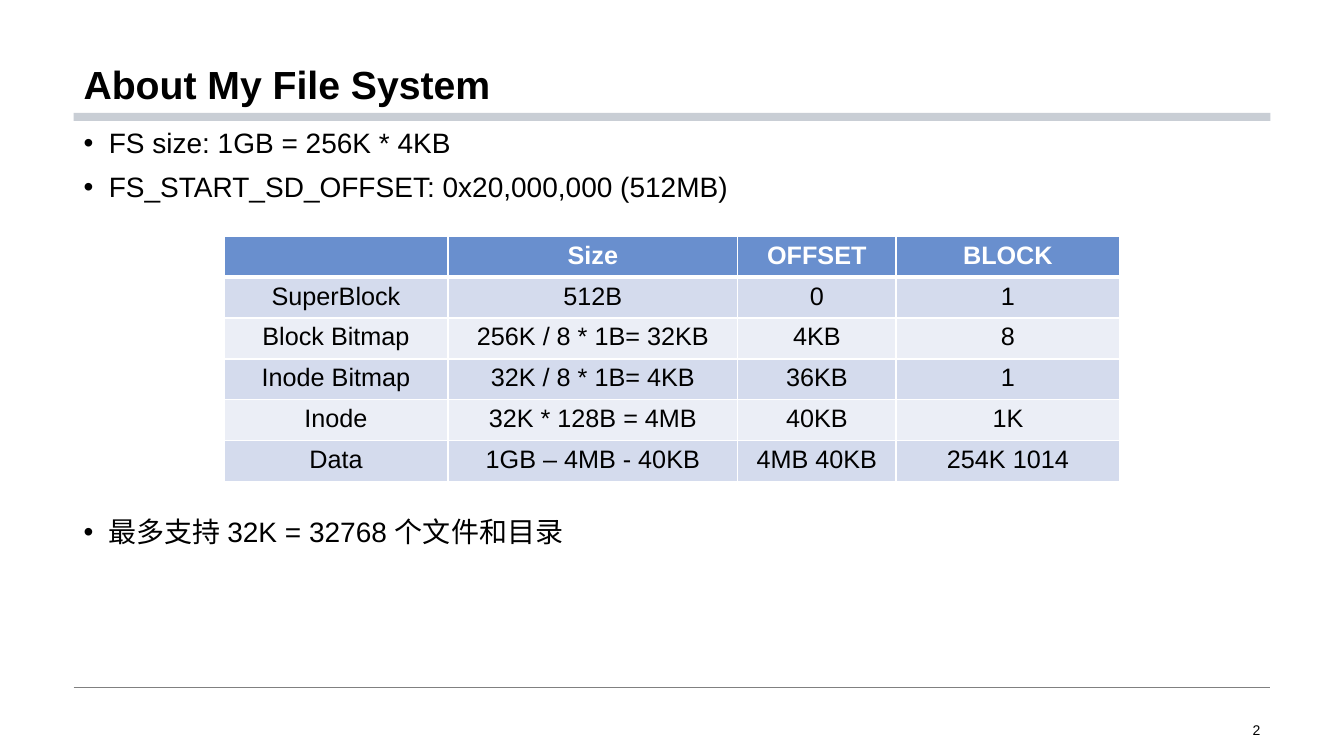
from dataclasses import dataclass

from lxml.etree import SubElement
from pptx import Presentation
from pptx.dml.color import RGBColor
from pptx.enum.shapes import MSO_CONNECTOR, MSO_SHAPE
from pptx.enum.text import MSO_ANCHOR, PP_ALIGN
from pptx.oxml.ns import qn
from pptx.util import Pt

TITLE = "About My File System"
PAGE_NUMBER = "2"
TABLE_GAP = 225  # room left for the table before the last point
POINTS = [  # text, space before
    ("FS size: 1GB = 256K * 4KB", 10),
    ("FS_START_SD_OFFSET: 0x20,000,000 (512MB)", 10),
    ("最多支持 32K = 32768 个文件和目录", TABLE_GAP),
]
LAYOUT_ROWS = [
    ("", "Size", "OFFSET", "BLOCK"),
    ("SuperBlock", "512B", "0", "1"),
    ("Block Bitmap", "256K / 8 * 1B= 32KB", "4KB", "8"),
    ("Inode Bitmap", "32K / 8 * 1B= 4KB", "36KB", "1"),
    ("Inode", "32K * 128B = 4MB", "40KB", "1K"),
    ("Data", "1GB – 4MB - 40KB", "4MB 40KB", "254K 1014"),
]
COLUMN_WIDTHS = (160, 207, 113, 160)
ROW_HEIGHT = 29.2


@dataclass(frozen=True)
class Theme:
    font: str = "Arial"
    text: str = "000000"
    white: str = "FFFFFF"
    bar: str = "C9CED5"
    rule: str = "808080"
    header: str = "698FCE"
    bands: tuple = ("EBEEF6", "D4DBED")
    title_size: int = 28
    body_size: int = 20
    table_size: int = 18
    page_size: int = 10


THEME = Theme()
SLIDE_WIDTH, SLIDE_HEIGHT = 960, 540
MARGIN = 52.6
CONTENT_WIDTH = 854.8
BAR_TOP, BAR_HEIGHT = 80.6, 5.8
BODY_TOP, BODY_HEIGHT = 88.6, 395
TABLE_TOP = 168.8
FOOTER_RULE_Y = 491
PAGE_TOP, PAGE_WIDTH, PAGE_HEIGHT = 513, 229, 16.5


def add_run(paragraph, text, size, color=THEME.text, bold=False):
    run = paragraph.add_run()
    run.text = text
    run.font.name = THEME.font
    run.font.size = Pt(size)
    run.font.bold = bold
    run.font.color.rgb = RGBColor.from_string(color)


def add_frame(slide, left, top, width, height, anchor):
    box = slide.shapes.add_textbox(Pt(left), Pt(top), Pt(width), Pt(height))
    box.text_frame.word_wrap = True
    box.text_frame.vertical_anchor = anchor
    return box.text_frame


def add_bullet(paragraph, indent=18):
    properties = paragraph._p.get_or_add_pPr()
    properties.set("marL", str(Pt(indent)))
    properties.set("indent", str(-Pt(indent)))
    SubElement(properties, qn("a:buFont"), typeface=THEME.font)
    SubElement(properties, qn("a:buChar"), char="•")


def add_borders(cell, bottom_width):
    properties = cell._tc.get_or_add_tcPr()
    widths = {"a:lnL": 1, "a:lnR": 1, "a:lnT": 1, "a:lnB": bottom_width}
    for side, width in widths.items():
        border = SubElement(properties, qn(side), w=str(Pt(width)))
        fill = SubElement(border, qn("a:solidFill"))
        SubElement(fill, qn("a:srgbClr"), val=THEME.white)


def add_frame_lines(slide):
    """Draw the bar under the title and the thin rule above the footer."""
    rule = slide.shapes.add_connector(
        MSO_CONNECTOR.STRAIGHT, Pt(MARGIN), Pt(FOOTER_RULE_Y),
        Pt(MARGIN + CONTENT_WIDTH), Pt(FOOTER_RULE_Y))
    rule.line.color.rgb = RGBColor.from_string(THEME.rule)
    rule.line.width = Pt(0.5)
    SubElement(rule._element.spPr, qn("a:effectLst"))
    bar = slide.shapes.add_shape(
        MSO_SHAPE.RECTANGLE, Pt(MARGIN), Pt(BAR_TOP), Pt(CONTENT_WIDTH), Pt(BAR_HEIGHT))
    bar.shadow.inherit = False
    bar.fill.solid()
    bar.fill.fore_color.rgb = RGBColor.from_string(THEME.bar)
    bar.line.fill.background()


def add_title(slide):
    frame = add_frame(slide, MARGIN, 0, CONTENT_WIDTH, BAR_TOP, MSO_ANCHOR.BOTTOM)
    paragraph = frame.paragraphs[0]
    paragraph.line_spacing = 0.9
    add_run(paragraph, TITLE, THEME.title_size, bold=True)


def add_points(slide):
    frame = add_frame(slide, MARGIN, BODY_TOP, CONTENT_WIDTH, BODY_HEIGHT, MSO_ANCHOR.TOP)
    for index, (text, space_before) in enumerate(POINTS):
        paragraph = frame.add_paragraph() if index else frame.paragraphs[0]
        paragraph.line_spacing = 0.9
        paragraph.space_before = Pt(space_before)
        add_bullet(paragraph)
        add_run(paragraph, text, THEME.body_size)


def add_page_number(slide):
    left = MARGIN + CONTENT_WIDTH - PAGE_WIDTH
    frame = add_frame(slide, left, PAGE_TOP, PAGE_WIDTH, PAGE_HEIGHT, MSO_ANCHOR.MIDDLE)
    frame.paragraphs[0].alignment = PP_ALIGN.RIGHT
    add_run(frame.paragraphs[0], PAGE_NUMBER, THEME.page_size)


def add_layout_table(slide):
    width = sum(COLUMN_WIDTHS)
    table = slide.shapes.add_table(
        len(LAYOUT_ROWS), len(COLUMN_WIDTHS), Pt((SLIDE_WIDTH - width) / 2), Pt(TABLE_TOP),
        Pt(width), Pt(ROW_HEIGHT * len(LAYOUT_ROWS))).table
    for column, column_width in zip(table.columns, COLUMN_WIDTHS):
        column.width = Pt(column_width)
    for row_index, values in enumerate(LAYOUT_ROWS):
        is_header = row_index == 0
        fill = THEME.header if is_header else THEME.bands[row_index % 2]
        color = THEME.white if is_header else THEME.text
        for column_index, value in enumerate(values):
            cell = table.cell(row_index, column_index)
            add_borders(cell, 3 if is_header else 1)
            cell.fill.solid()
            cell.fill.fore_color.rgb = RGBColor.from_string(fill)
            paragraph = cell.text_frame.paragraphs[0]
            paragraph.alignment = PP_ALIGN.CENTER
            if value:
                add_run(paragraph, value, THEME.table_size, color, is_header)


def main():
    deck = Presentation()
    deck.slide_width, deck.slide_height = Pt(SLIDE_WIDTH), Pt(SLIDE_HEIGHT)
    slide = deck.slides.add_slide(deck.slide_layouts[6])
    add_frame_lines(slide)
    add_title(slide)
    add_points(slide)
    add_page_number(slide)
    add_layout_table(slide)
    deck.save("out.pptx")


if __name__ == "__main__":
    main()
